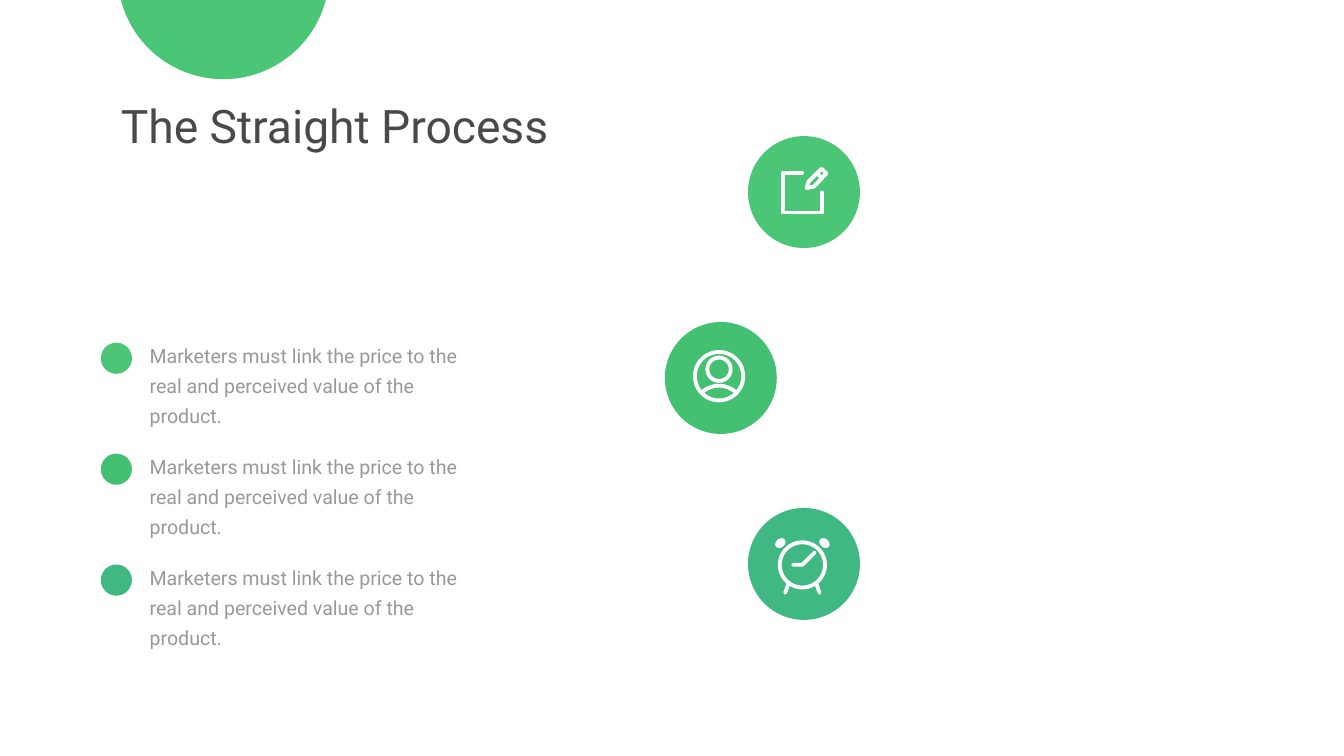
from math import cos, radians, sin

from lxml.etree import SubElement
from pptx import Presentation
from pptx.dml.color import RGBColor
from pptx.enum.shapes import MSO_CONNECTOR, MSO_SHAPE
from pptx.enum.text import MSO_AUTO_SIZE
from pptx.oxml.ns import qn
from pptx.util import Cm, Pt

LIGHT = RGBColor(0x4B, 0xC6, 0x76)
GREEN = RGBColor(0x43, 0xC0, 0x72)
TEAL = RGBColor(0x40, 0xB8, 0x84)
WHITE = RGBColor(0xFF, 0xFF, 0xFF)
DARK = RGBColor(0x49, 0x49, 0x49)
GRAY = RGBColor(0x99, 0x99, 0x99)
COLORS = (LIGHT, GREEN, TEAL)

FONT = "Roboto"
STROKE = Pt(5.5)
BADGE = 5.64
NOTE = "Marketers must link the price to the real and perceived value of the product."


def add_solid(slide, kind, x, y, w, h, color):
    shape = slide.shapes.add_shape(kind, Cm(x), Cm(y), Cm(w), Cm(h))
    shape.shadow.inherit = False
    shape.fill.solid()
    shape.fill.fore_color.rgb = color
    shape.line.fill.background()
    return shape


def add_text(slide, x, y, w, h, text, size, color, pitch=None):
    box = slide.shapes.add_textbox(Cm(x), Cm(y), Cm(w), Cm(h))
    frame = box.text_frame
    frame.word_wrap = True
    frame.auto_size = MSO_AUTO_SIZE.SHAPE_TO_FIT_TEXT
    frame.text = text
    para = frame.paragraphs[0]
    para.line_spacing = pitch
    font = para.runs[0].font
    font.name, font.size = FONT, Pt(size)
    font.color.rgb = color


def ink(shape):
    """White round-ended stroke."""
    shape.line.color.rgb = WHITE
    shape.line.width = STROKE
    props = shape.element.spPr
    edge = props.find(qn("a:ln"))
    edge.set("cap", "rnd")
    SubElement(edge, qn("a:round"))


def add_ring(slide, x, y, radius):
    ring = add_solid(slide, MSO_SHAPE.OVAL, x - radius, y - radius,
                     2 * radius, 2 * radius, WHITE)
    ring.fill.background()
    ink(ring)


def add_path(slide, x, y, points, close=False):
    spots = [(Cm(x + dx), Cm(y + dy)) for dx, dy in points]
    pen = slide.shapes.build_freeform(*spots[0])
    pen.add_line_segments(spots[1:], close=close)
    path = pen.convert_to_shape()
    path.shadow.inherit = False
    path.fill.background()
    ink(path)


def add_line(slide, x, y, start, end):
    line = slide.shapes.add_connector(
        MSO_CONNECTOR.STRAIGHT, Cm(x + start[0]), Cm(y + start[1]),
        Cm(x + end[0]), Cm(y + end[1]))
    ink(line)
    SubElement(line.element.spPr, qn("a:effectLst"))


def draw_edit(slide, x, y):
    # Sheet, then pencil
    add_path(slide, x, y, [(2.73, 1.85), (1.75, 1.85), (1.75, 3.85),
                           (3.72, 3.85), (3.72, 2.84)])
    add_path(slide, x, y, [(2.95, 2.62), (3.05, 2.29), (3.71, 1.64),
                           (3.95, 1.88), (3.33, 2.54)], close=True)
    add_line(slide, x, y, (3.53, 1.92), (3.67, 2.06))


def draw_user(slide, x, y):
    # Frame, head and shoulders
    mid = 2.73
    add_ring(slide, x + mid, y + mid, 1.22)
    add_ring(slide, x + mid, y + 2.38, 0.59)
    turns = [radians(angle) for angle in range(230, 311, 5)]
    add_path(slide, x, y, [(mid + 1.28 * cos(t), 4.49 + 1.28 * sin(t))
                           for t in turns])


def draw_clock(slide, x, y):
    # Face and hands
    mid = 2.74
    add_ring(slide, x + mid, y + 2.87, 1.14)
    add_path(slide, x, y, [(2.27, 2.86), (mid, 2.86), (3.37, 2.24)])
    # Legs and bells on both sides
    for side in (-1, 1):
        add_line(slide, x, y, (mid + side * 0.71, 3.84),
                 (mid + side * 0.87, 4.28))
        bell = add_solid(slide, MSO_SHAPE.OVAL, x + mid + side * 1.11 - 0.29,
                         y + 1.55, 0.58, 0.44, WHITE)
        bell.rotation = side * 40


def add_head(slide, x, y):
    dome = add_solid(slide, MSO_SHAPE.CHORD, x + 0.08, y - 11.46,
                     10.67, 10.67, LIGHT)
    dome.adjustments[0] = 8.266
    dome.adjustments[1] = 99.598
    add_text(slide, x, y, 23.98, 3.07, "The Straight Process", 66, DARK)


def add_notes(slide, x, y):
    for row, color in enumerate(COLORS):
        top = y + row * 5.59
        add_solid(slide, MSO_SHAPE.OVAL, x, top + 0.4, 1.57, 1.57, color)
        add_text(slide, x + 2.21, top, 17.68, 3.18, NOTE, 28, GRAY, Pt(43))


def add_steps(slide, x, y):
    icons = (draw_edit, draw_user, draw_clock)
    for row, (color, draw) in enumerate(zip(COLORS, icons)):
        left = x if row == 1 else x + 4.19
        top = y + row * 9.37
        add_solid(slide, MSO_SHAPE.OVAL, left, top, BADGE, BADGE, color)
        draw(slide, left, top)


def main():
    deck = Presentation()
    deck.slide_width, deck.slide_height = Cm(67.72), Cm(38.1)
    slide = deck.slides.add_slide(deck.slide_layouts[6])
    add_head(slide, 5.84, 4.78)
    add_notes(slide, 5.08, 16.87)
    add_steps(slide, 33.5, 6.86)
    deck.save("out.pptx")


if __name__ == "__main__":
    main()
